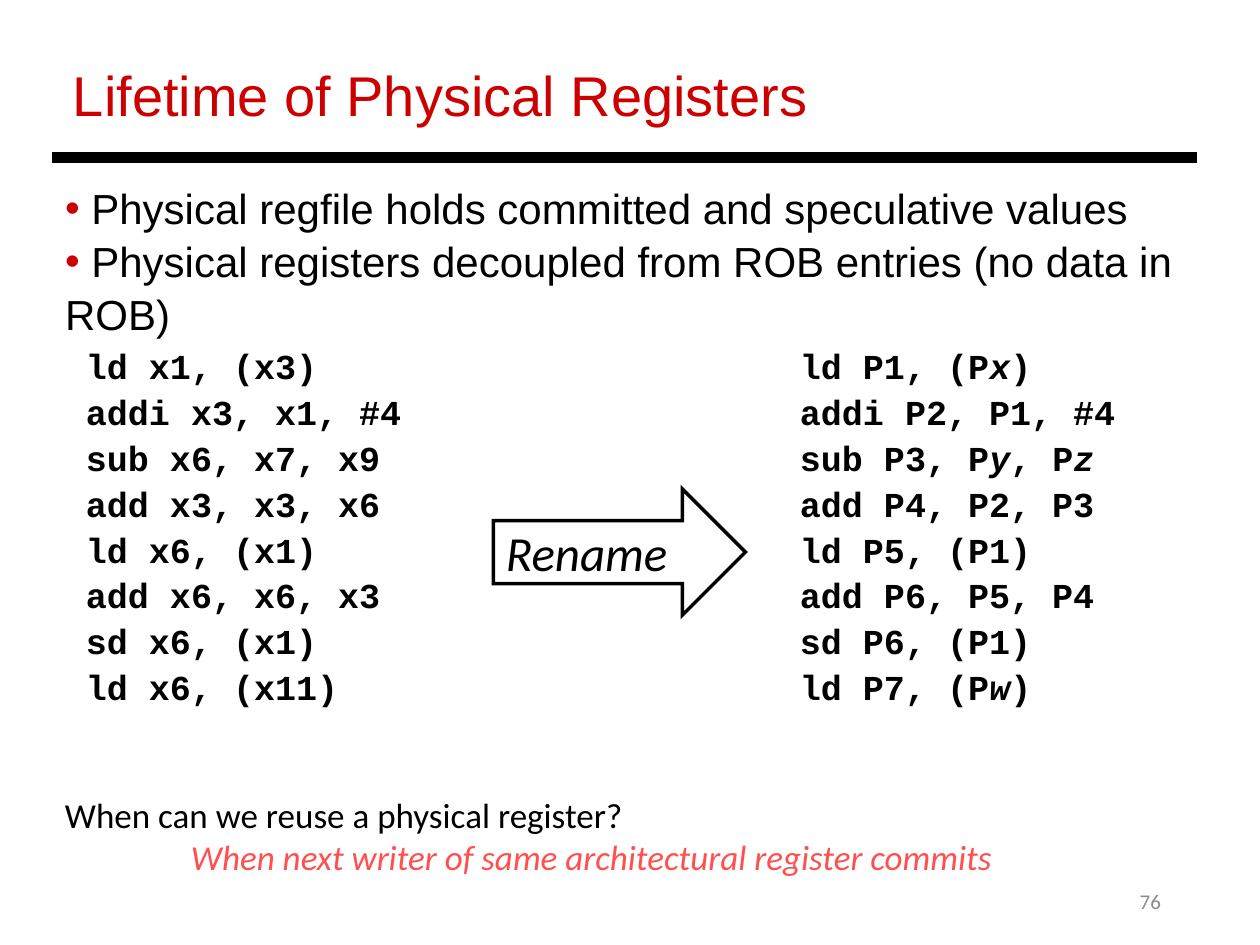
from lxml import etree
from pptx import Presentation
from pptx.dml.color import RGBColor
from pptx.enum.shapes import MSO_CONNECTOR, MSO_SHAPE
from pptx.enum.text import MSO_ANCHOR, MSO_AUTO_SIZE, PP_ALIGN
from pptx.oxml.ns import qn
from pptx.util import Pt

LEFT, RIGHT = PP_ALIGN.LEFT, PP_ALIGN.RIGHT
TOP, MIDDLE = MSO_ANCHOR.TOP, MSO_ANCHOR.MIDDLE
COLORS = {"text": "000000", "title": "CC0000", "answer": "FF5050", "number": "8C8C8C"}


def write(box, lines, font="Calibri", size=20, color="text", bold=False, italic=False,
          align=LEFT, anchor=TOP, wrap=True, spacing=1.0, gap=0, bullet=None):
    """Fill a box with one paragraph per line; parts between asterisks turn italic."""
    frame = box.text_frame
    frame.word_wrap = wrap
    frame.auto_size = MSO_AUTO_SIZE.NONE
    frame.vertical_anchor = anchor
    for index, line in enumerate(lines):
        para = frame.paragraphs[0] if index == 0 else frame.add_paragraph()
        if bullet:
            props = para._p.get_or_add_pPr()
            props.set("marL", "0")
            props.set("indent", "0")
            bullet_color = etree.SubElement(props, qn("a:buClr"))
            etree.SubElement(bullet_color, qn("a:srgbClr"), val=COLORS[bullet])
            etree.SubElement(props, qn("a:buFont"), typeface=font)
            etree.SubElement(props, qn("a:buChar"), char="•")
        para.alignment = align
        para.line_spacing = spacing
        para.space_before = Pt(gap if index else 0)
        for part, text in enumerate(line.split("*")):
            if not text:
                continue
            span = para.add_run()
            span.text = text
            span.font.name = font
            span.font.size = Pt(size)
            span.font.bold = bold
            span.font.italic = italic or part % 2 == 1
            span.font.color.rgb = RGBColor.from_string(COLORS[color])


def place(box, left, top, width, height):
    box.left, box.top, box.width, box.height = Pt(left), Pt(top), Pt(width), Pt(height)


deck = Presentation()
deck.slide_width, deck.slide_height = Pt(720), Pt(540)
page = deck.slides.add_slide(deck.slide_layouts[1])

# Title, rule and bullets
title = page.shapes.title
place(title, 34.5, 31, 632, 46)
write(title, ["Lifetime of Physical Registers"], font="Arial", size=32, color="title")

rule = page.shapes.add_connector(MSO_CONNECTOR.STRAIGHT, Pt(30), Pt(90), Pt(684), Pt(90))
rule.line.width = Pt(6)
rule.line.color.rgb = RGBColor.from_string(COLORS["text"])
etree.SubElement(rule._element.spPr, qn("a:effectLst"))

body = page.placeholders[1]
place(body, 30, 99.5, 668, 94)
write(body, [" Physical regfile holds committed and speculative values",
             " Physical registers decoupled from ROB entries (no data in ROB)"],
      font="Arial", size=24, spacing=1.05, bullet="title")

# Code before and after renaming
listings = {
    42: ["ld x1, (x3)", "addi x3, x1, #4", "sub x6, x7, x9", "add x3, x3, x6",
         "ld x6, (x1)", "add x6, x6, x3", "sd x6, (x1)", "ld x6, (x11)"],
    450: ["ld P1, (P*x*)", "addi P2, P1, #4", "sub P3, P*y*, P*z*", "add P4, P2, P3",
          "ld P5, (P1)", "add P6, P5, P4", "sd P6, (P1)", "ld P7, (P*w*)"],
}
for left, code in listings.items():
    listing = page.shapes.add_textbox(Pt(left), Pt(198), Pt(228), Pt(268))
    write(listing, code, font="Courier New", bold=True, spacing=0.8, gap=7)

arrow = page.shapes.add_shape(MSO_SHAPE.RIGHT_ARROW, Pt(282), Pt(279.5), Pt(144), Pt(72))
arrow.shadow.inherit = False
arrow.fill.background()
arrow.line.width = Pt(2)
arrow.line.color.rgb = RGBColor.from_string(COLORS["text"])
etree.SubElement(arrow.line._get_or_add_ln(), qn("a:miter"), lim="800000")
write(arrow, ["Rename"], size=28, italic=True, anchor=MIDDLE, wrap=False)

# Question, answer and page number
question = page.shapes.add_textbox(Pt(30), Pt(450), Pt(624), Pt(79))
write(question, ["When can we reuse a physical register?",
                 "*When next writer of same architectural register commits*"])
answer = question.text_frame.paragraphs[1]
answer._p.get_or_add_pPr().set("marL", str(Pt(72)))
answer.runs[0].font.color.rgb = RGBColor.from_string(COLORS["answer"])

number = page.shapes.add_textbox(Pt(508.5), Pt(500.5), Pt(162), Pt(29))
write(number, ["76"], size=12, color="number", align=RIGHT, anchor=MIDDLE)

deck.save("out.pptx")
